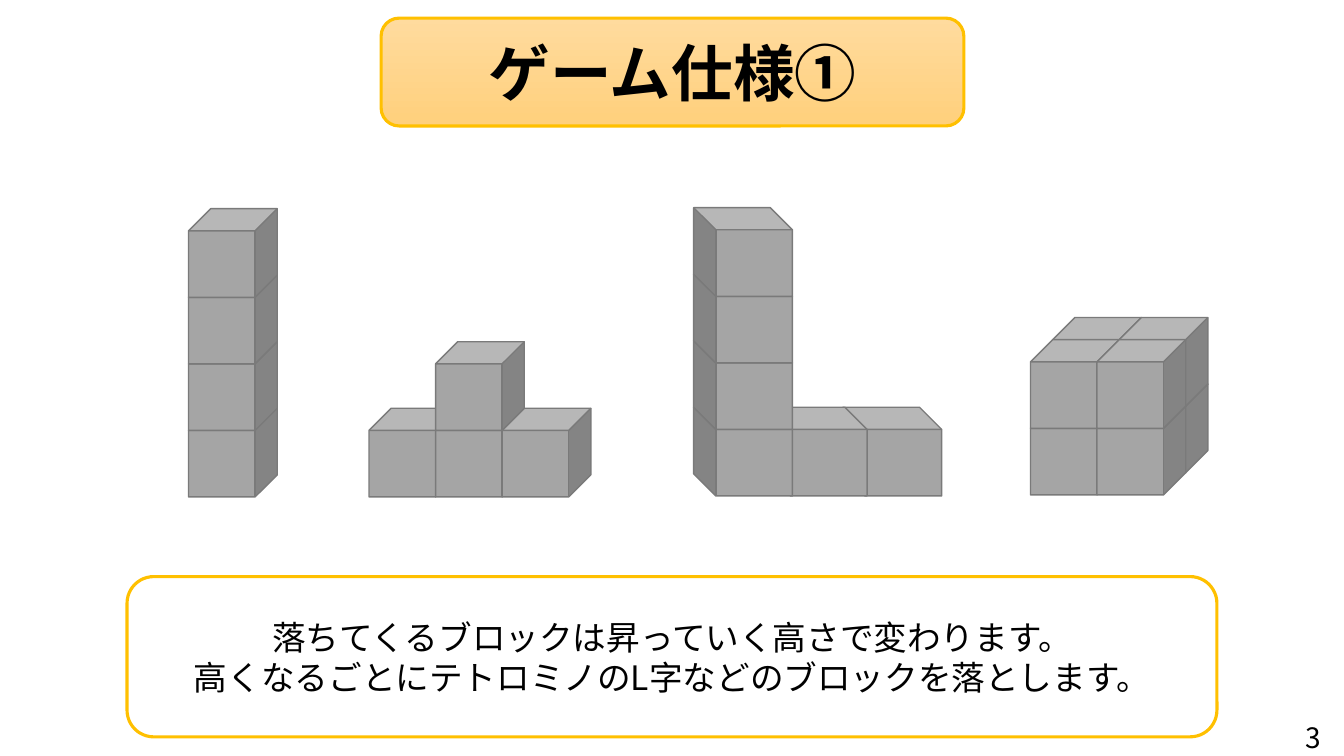
"""Build the game specification slide with four stacked-block figures."""
from dataclasses import dataclass

import pptx
import pptx.dml.color
import pptx.enum.shapes
import pptx.enum.text
import pptx.oxml
import pptx.oxml.ns
import pptx.util
from pptx.util import Inches

TITLE = "ゲーム仕様①"
EXPLANATION = [
    "落ちてくるブロックは昇っていく高さで変わります。",
    "高くなるごとにテトロミノのL字などのブロックを落とします。",
]
PAGE_NUMBER = "3"

TITLE_BOX = (3.78, 0.18, 5.78, 1.07)
EXPLANATION_BOX = (1.26, 5.72, 10.81, 1.59)
PAGE_BOX = (12.73, 7.1, 0.6, 0.44)

BLOCK_HEIGHT = 0.88
BLOCK_DEPTH = BLOCK_HEIGHT / 4
BLOCK_FACE = BLOCK_HEIGHT - BLOCK_DEPTH

# Cells are (column, row from the floor, depth), listed from back to front.
FIGURES = [
    {"left": 1.87, "floor": 4.05, "width": 0.88, "pitch": BLOCK_FACE, "mirrored": False,
     "cells": [(0, row, 0) for row in range(4)]},
    {"left": 3.66, "floor": 4.05, "width": 0.88, "pitch": BLOCK_FACE, "mirrored": False,
     "cells": [(0, 0, 0), (1, 0, 0), (2, 0, 0), (1, 1, 0)]},
    {"left": 10.22, "floor": 4.03, "width": 0.88, "pitch": BLOCK_FACE, "mirrored": False,
     "cells": [(column, row, depth) for depth in (1, 0) for row in (0, 1) for column in (0, 1)]},
    {"left": 6.88, "floor": 4.04, "width": 0.98, "pitch": 0.74, "mirrored": True,
     "cells": [(2, 0, 0), (1, 0, 0), (0, 0, 0), (0, 1, 0), (0, 2, 0), (0, 3, 0)]},
]


@dataclass(frozen=True)
class Theme:
    """Colours, type sizes and line widths of the slide."""
    font: str = "Noto Sans CJK JP"
    ink: str = "000000"
    block: str = "A5A5A5"
    block_edge: str = "7A7A7A"
    frame: str = "FFC000"
    title_top: str = "FFDB9E"
    title_bottom: str = "FFD07C"
    panel: str = "FFFFFF"
    panel_opacity: int = 65
    title_size: int = 44
    body_size: int = 24
    page_size: int = 20
    block_line: float = 1
    frame_line: float = 2.25


THEME = Theme()
SHAPES = pptx.enum.shapes.MSO_SHAPE


def rgb(colour):
    """Turn a hex string into a colour."""
    return pptx.dml.color.RGBColor.from_string(colour)


def add_part(shapes, preset, box, edge, width):
    """Add a shadowless outlined preset shape."""
    part = shapes.add_shape(preset, *map(Inches, box))
    part.shadow.inherit = False
    part.line.color.rgb = rgb(edge)
    part.line.width = pptx.util.Pt(width)
    return part


def write(part, lines, size, bold=False):
    """Write centred lines in the theme font."""
    frame = part.text_frame
    frame.text = "\n".join(lines)
    for paragraph in frame.paragraphs:
        paragraph.alignment = pptx.enum.text.PP_ALIGN.CENTER
        for run in paragraph.runs:
            run.font.name = THEME.font
            run.font.size = pptx.util.Pt(size)
            run.font.bold = bold
            run.font.color.rgb = rgb(THEME.ink)
            east_asian = pptx.oxml.parse_xml(
                f'<a:ea {pptx.oxml.ns.nsdecls("a")} typeface="{THEME.font}"/>')
            run.font._element.find(pptx.oxml.ns.qn("a:latin")).addnext(east_asian)


def add_figure(slide, figure):
    """Stack one figure's blocks in a group."""
    group = slide.shapes.add_group_shape()
    for column, row, depth in figure["cells"]:
        left = figure["left"] + column * figure["pitch"] + depth * BLOCK_DEPTH
        top = figure["floor"] - row * BLOCK_FACE - depth * BLOCK_DEPTH
        block = add_part(group.shapes, SHAPES.CUBE, (left, top, figure["width"], BLOCK_HEIGHT),
                         THEME.block_edge, THEME.block_line)
        block.fill.solid()
        block.fill.fore_color.rgb = rgb(THEME.block)
        if figure["mirrored"]:
            block.element.spPr.find(pptx.oxml.ns.qn("a:xfrm")).set("flipH", "1")


def add_title(slide):
    """Add the gradient title plate."""
    title = add_part(slide.shapes, SHAPES.ROUNDED_RECTANGLE, TITLE_BOX,
                     THEME.frame, THEME.frame_line)
    title.fill.gradient()
    title.fill.gradient_angle = 270
    for stop, colour in zip(title.fill.gradient_stops, (THEME.title_top, THEME.title_bottom)):
        stop.color.rgb = rgb(colour)
    write(title, [TITLE], THEME.title_size, bold=True)


def add_explanation(slide):
    """Add the translucent explanation panel."""
    panel = add_part(slide.shapes, SHAPES.ROUNDED_RECTANGLE, EXPLANATION_BOX,
                     THEME.frame, THEME.frame_line)
    panel.fill.solid()
    panel.fill.fore_color.rgb = rgb(THEME.panel)
    colour = panel.element.spPr.find(pptx.oxml.ns.qn("a:solidFill"))[0]
    colour.append(pptx.oxml.parse_xml(
        f'<a:alpha {pptx.oxml.ns.nsdecls("a")} val="{THEME.panel_opacity * 1000}"/>'))
    write(panel, EXPLANATION, THEME.body_size)


def main():
    """Assemble and save the slide."""
    deck = pptx.Presentation()
    deck.slide_width, deck.slide_height = Inches(13.33), Inches(7.5)
    slide = deck.slides.add_slide(deck.slide_layouts[6])
    for figure in FIGURES:
        add_figure(slide, figure)
    page = slide.shapes.add_textbox(*map(Inches, PAGE_BOX))
    page.text_frame.word_wrap = True
    write(page, [PAGE_NUMBER], THEME.page_size)
    add_title(slide)
    add_explanation(slide)
    deck.save("out.pptx")


if __name__ == "__main__":
    main()
